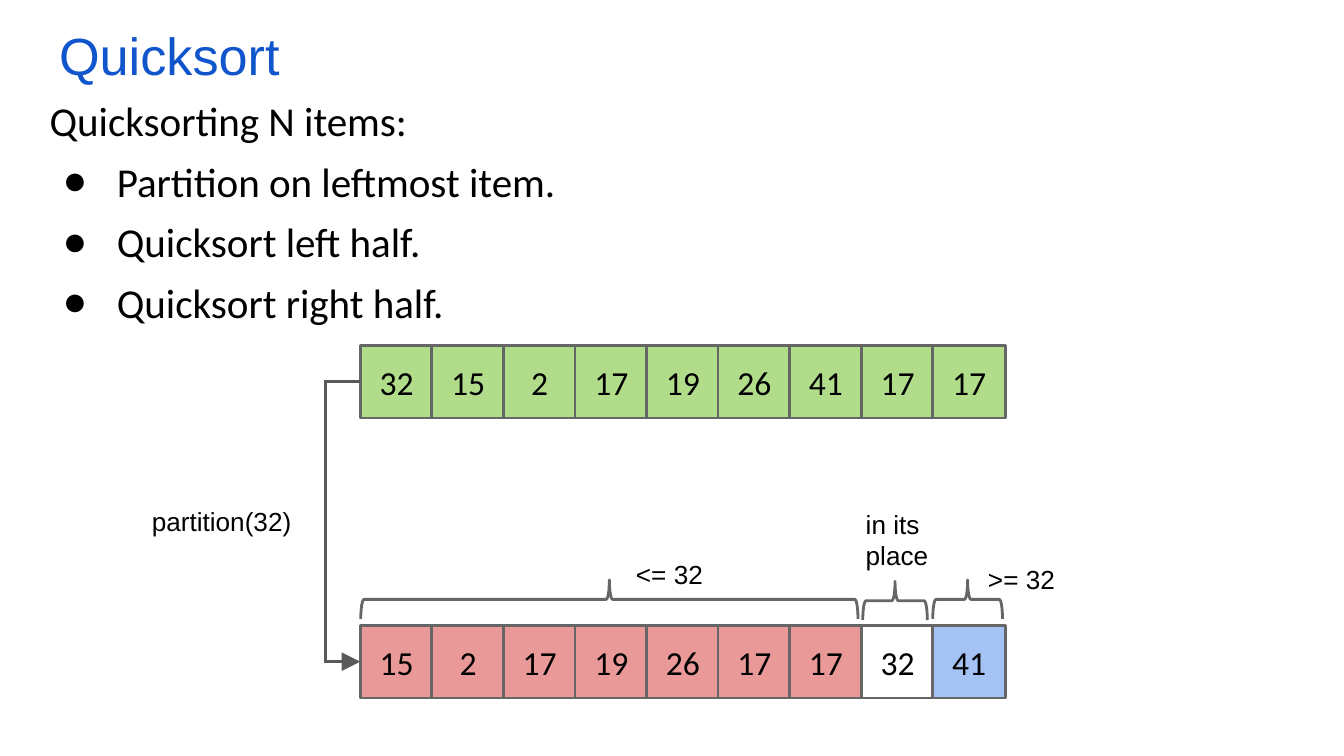
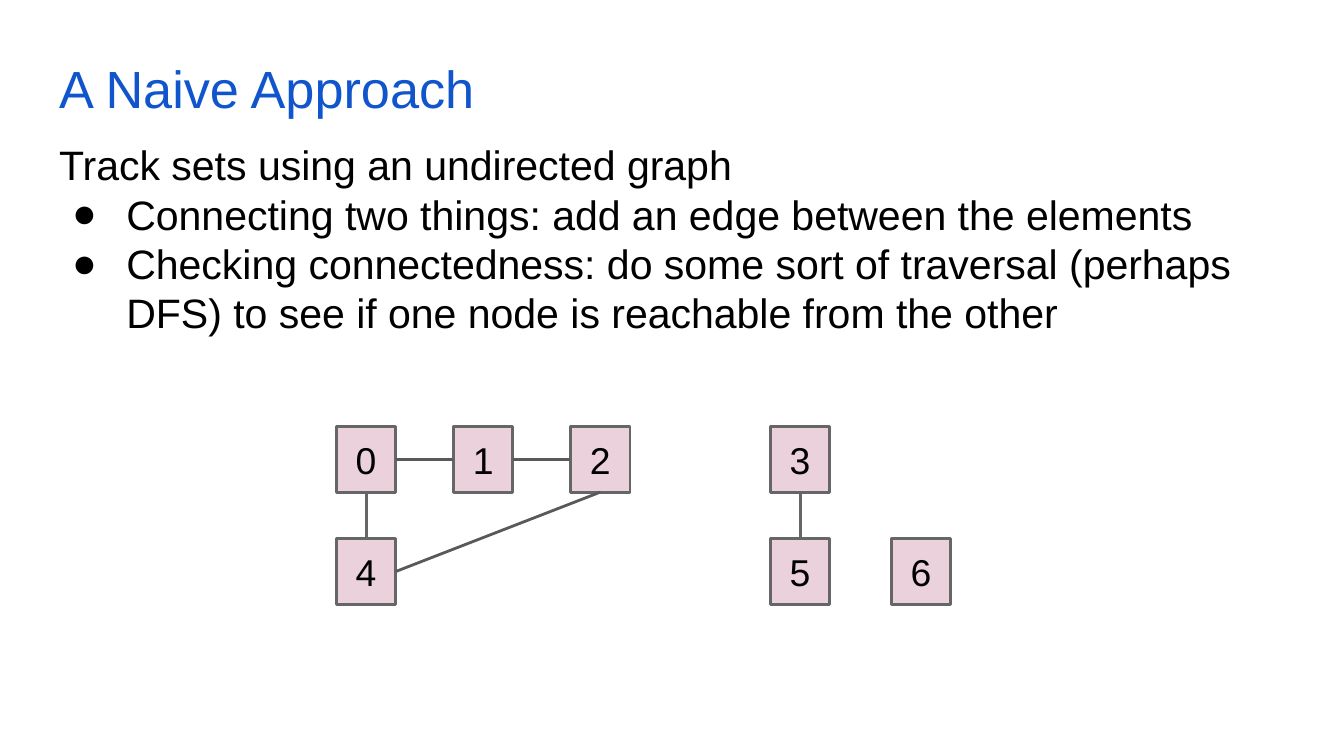
from dataclasses import dataclass

from lxml import etree
from pptx import Presentation
from pptx.dml.color import RGBColor
from pptx.enum import shapes, text
from pptx.oxml import ns
from pptx.util import Pt

COLORS = {
    "title": "1155CC",
    "ink": "000000",
    "outline": "666666",
    "arrow": "595959",
    "unsorted": "B1DD8B",
    "smaller": "EA9999",
    "pivot": "FFFFFF",
    "larger": "A4C2F4",
    "node": "EAD1DC",
}
INSET = 7.2
LINE_WIDTH = 1.5


@dataclass
class Box:
    left: float
    top: float
    width: float
    height: float

    def lengths(self) -> list:
        return [Pt(v) for v in (self.left, self.top, self.width, self.height)]


@dataclass
class Style:
    size: float
    font: str = "Arial"
    color: str = "ink"


@dataclass
class Label:
    words: str
    box: Box


@dataclass
class Brace:
    center_x: float
    center_y: float
    span: float


@dataclass
class Edge:
    start: int
    start_side: int
    end: int
    end_side: int
    color: str = "outline"


TOP, LEFT, BOTTOM, RIGHT = range(4)
TITLE = Style(28, color="title")
NOTE = Style(14)


# Shared helpers
def rgb(name: str) -> RGBColor:
    return RGBColor.from_string(COLORS[name])


def set_font(paragraph, style: Style) -> None:
    paragraph.font.name = style.font
    paragraph.font.size = Pt(style.size)
    paragraph.font.color.rgb = rgb(style.color)


def prepare_frame(shape, anchor=text.MSO_ANCHOR.TOP):
    frame = shape.text_frame
    frame.word_wrap = True
    frame.auto_size = text.MSO_AUTO_SIZE.NONE
    frame.vertical_anchor = anchor
    frame.margin_left = frame.margin_right = Pt(INSET)
    frame.margin_top = frame.margin_bottom = Pt(INSET)
    return frame


def place(shape, box: Box) -> None:
    shape.left, shape.top, shape.width, shape.height = box.lengths()


def set_bullet(paragraph, bulleted: bool) -> None:
    props = paragraph._p.get_or_add_pPr()
    props.set("marL", str(Pt(36 if bulleted else 0)))
    props.set("indent", str(Pt(-29 if bulleted else 0)))
    if bulleted:
        etree.SubElement(props, ns.qn("a:buChar")).set("char", "●")
    else:
        etree.SubElement(props, ns.qn("a:buNone"))


def add_titled_slide(deck, title: str, title_top: float):
    slide = deck.slides.add_slide(deck.slide_layouts[1])
    heading = slide.shapes.title
    place(heading, Box(24.5, title_top, 671, 45))
    paragraph = prepare_frame(heading).paragraphs[0]
    paragraph.text = title
    paragraph.alignment = text.PP_ALIGN.LEFT
    set_font(paragraph, TITLE)
    return slide


def fill_body(slide, box: Box, intro: str, points: list[str], style: Style,
              gap: float = 0) -> None:
    body = slide.placeholders[1]
    place(body, box)
    frame = prepare_frame(body)
    for i, line in enumerate([intro, *points]):
        paragraph = frame.add_paragraph() if i else frame.paragraphs[0]
        paragraph.text = line
        set_bullet(paragraph, i > 0)
        paragraph.space_before = Pt(gap if i else 0)
        set_font(paragraph, style)


def add_cell(slide, words: str, box: Box, fill: str, style: Style):
    cell = slide.shapes.add_shape(shapes.MSO_SHAPE.RECTANGLE, *box.lengths())
    cell.shadow.inherit = False
    cell.fill.solid()
    cell.fill.fore_color.rgb = rgb(fill)
    cell.line.color.rgb = rgb("outline")
    cell.line.width = Pt(LINE_WIDTH)
    paragraph = prepare_frame(cell, text.MSO_ANCHOR.MIDDLE).paragraphs[0]
    paragraph.text = words
    paragraph.alignment = text.PP_ALIGN.CENTER
    set_font(paragraph, style)
    return cell


def add_label(slide, label: Label) -> None:
    note = slide.shapes.add_textbox(*label.box.lengths())
    paragraph = prepare_frame(note).paragraphs[0]
    paragraph.text = label.words
    set_font(paragraph, NOTE)


def add_brace(slide, brace: Brace, depth: float = 20.9) -> None:
    # The box is upright; turning it makes the brace point upwards
    box = Box(brace.center_x - depth / 2, brace.center_y - brace.span / 2, depth, brace.span)
    shape = slide.shapes.add_shape(shapes.MSO_SHAPE.RIGHT_BRACE, *box.lengths())
    shape.rotation = 270
    shape.adjustments[0] = 0.083
    shape.adjustments[1] = 0.5
    shape.shadow.inherit = False
    shape.fill.background()
    shape.line.color.rgb = rgb("outline")
    shape.line.width = Pt(LINE_WIDTH)


def add_line(slide, color: str, start: tuple = (0, 0), end: tuple = (0, 0)):
    line = slide.shapes.add_connector(shapes.MSO_CONNECTOR.STRAIGHT, *start, *end)
    line.line.color.rgb = rgb(color)
    line.line.width = Pt(LINE_WIDTH)
    etree.SubElement(line._element.spPr, ns.qn("a:effectLst"))
    return line


# Slide 1: quicksort
def add_array(slide, values: list[int], fills: list[str], top: float) -> list:
    left, pitch, side = 193, 38.34, 39
    return [
        add_cell(slide, str(value), Box(left + i * pitch, top, side, side), fill,
                 Style(18, "Calibri"))
        for i, (value, fill) in enumerate(zip(values, fills))
    ]


def add_partition_arrow(slide, before, after) -> None:
    # Out to the left of the first cells, down, and back in
    turn_x = before.left - Pt(18.7)
    start_y, end_y = (cell.top + cell.height // 2 for cell in (before, after))
    way_out = add_line(slide, "arrow", (before.left, start_y), (turn_x, start_y))
    way_out.begin_connect(before, LEFT)
    way_down = add_line(slide, "arrow", (turn_x, start_y), (turn_x, end_y))
    way_down.line._get_or_add_ln().set("cap", "sq")  # closes both corners
    way_in = add_line(slide, "arrow", (turn_x, end_y), (after.left, end_y))
    way_in.end_connect(after, LEFT)
    head = etree.SubElement(way_in.line._get_or_add_ln(), ns.qn("a:tailEnd"))
    for key, value in (("type", "triangle"), ("w", "lg"), ("len", "lg")):
        head.set(key, value)


def build_quicksort(deck) -> None:
    slide = add_titled_slide(deck, "Quicksort", 5)
    fill_body(
        slide, Box(19.4, 44, 664.6, 126.7), "Quicksorting N items:",
        ["Partition on leftmost item.", "Quicksort left half.", "Quicksort right half."],
        Style(22, "Calibri"), gap=6,
    )
    before = add_array(slide, [32, 15, 2, 17, 19, 26, 41, 17, 17], ["unsorted"] * 9, 185)
    after = add_array(slide, [15, 2, 17, 19, 26, 17, 17, 32, 41],
                      ["smaller"] * 7 + ["pivot", "larger"], 335)
    for brace in (Brace(326.5, 321.1, 266.4), Brace(479.5, 321.8, 34.6),
                  Brace(518.4, 321.1, 37.4)):
        add_brace(slide, brace)
    for label in (
        Label("partition(32)", Box(74.2, 263.3, 140.4, 28.8)),
        Label("<= 32", Box(333.6, 291.8, 65.5, 26.6)),
        Label("in its place", Box(456.7, 265, 65.5, 45.4)),
        Label(">= 32", Box(522.2, 294.5, 65.5, 26.6)),
    ):
        add_label(slide, label)
    add_partition_arrow(slide, before[0], after[0])


# Slide 2: undirected graph
def build_naive_approach(deck) -> None:
    slide = add_titled_slide(deck, "A Naive Approach", 23)
    fill_body(
        slide, Box(24.5, 67.7, 654.5, 97.2), "Track sets using an undirected graph",
        ["Connecting two things: add an edge between the elements",
         "Checking connectedness: do some sort of traversal (perhaps DFS) "
         "to see if one node is reachable from the other"],
        Style(22),
    )
    upper, lower = 228.4, 288.5
    corners = [(180.2, upper), (242.9, upper), (305.6, upper), (412.7, upper),
               (180.2, lower), (412.7, lower), (477.4, lower)]
    nodes = [
        add_cell(slide, str(i), Box(left, top, 31.9, 35.3), "node", Style(20))
        for i, (left, top) in enumerate(corners)
    ]
    for edge in (
        Edge(0, BOTTOM, 4, TOP),
        Edge(3, BOTTOM, 5, TOP),
        Edge(0, RIGHT, 1, LEFT, "arrow"),
        Edge(1, RIGHT, 2, LEFT, "arrow"),
        Edge(4, RIGHT, 2, BOTTOM, "arrow"),
    ):
        line = add_line(slide, edge.color)
        line.begin_connect(nodes[edge.start], edge.start_side)
        line.end_connect(nodes[edge.end], edge.end_side)


def main() -> None:
    deck = Presentation()
    deck.slide_width, deck.slide_height = Pt(720), Pt(405)
    build_quicksort(deck)
    build_naive_approach(deck)
    deck.save("out.pptx")


if __name__ == "__main__":
    main()
